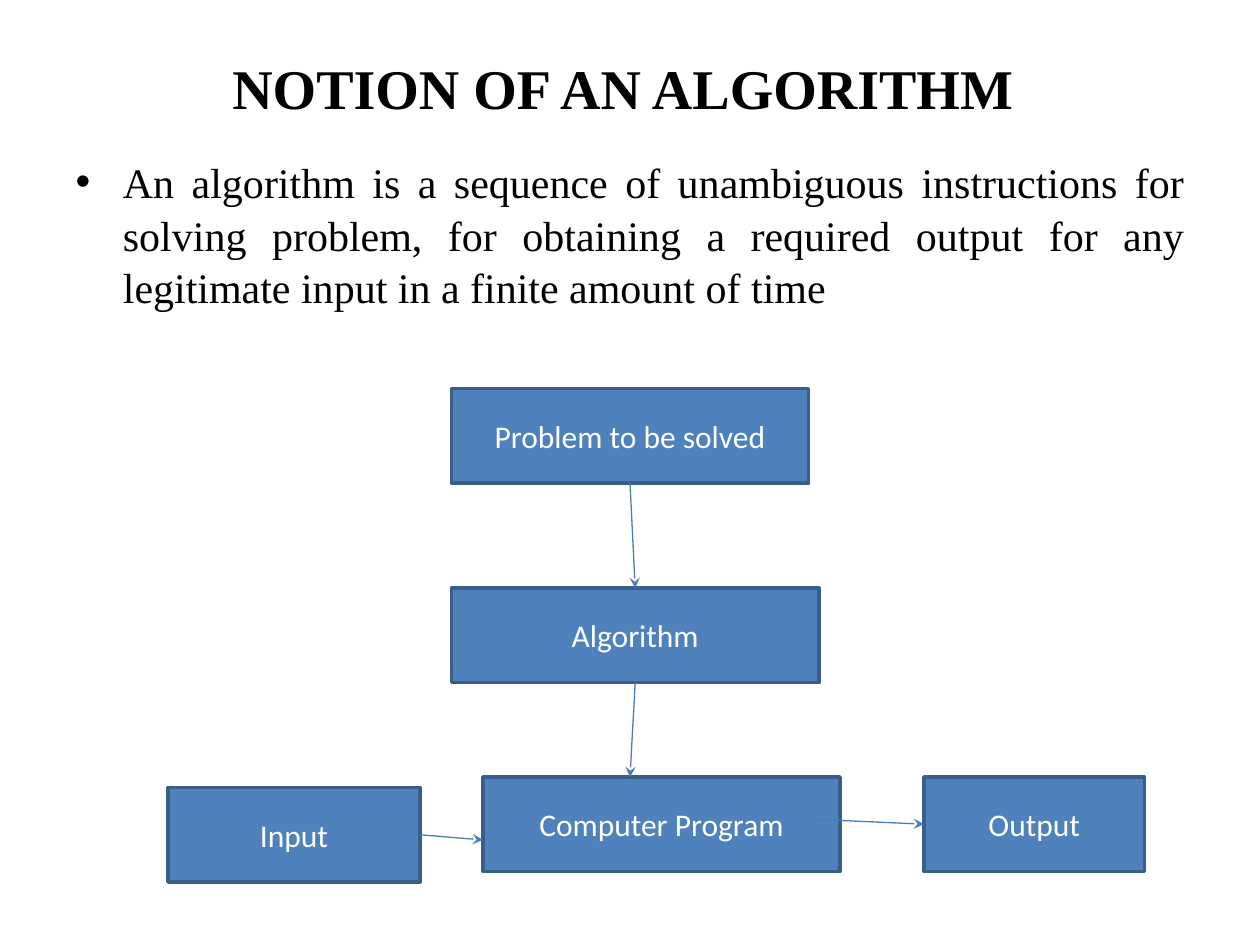
import dataclasses

import lxml.etree
import pptx
import pptx.dml.color
import pptx.enum.shapes
import pptx.enum.text
import pptx.oxml.ns
import pptx.util

ALIGN = pptx.enum.text.PP_ALIGN
TOP, LEFT, BOTTOM, RIGHT = range(4)


@dataclasses.dataclass(frozen=True)
class Theme:
    text: str = "000000"
    box_text: str = "FFFFFF"
    box_fill: str = "4F81BD"
    box_line: str = "395E89"
    arrow: str = "4A7DBA"
    heading_font: str = "Times New Roman"
    box_font: str = "Calibri"
    title_size: int = 32
    body_size: int = 24
    box_size: int = 18


THEME = Theme()
BOX_ROWS = 9

# name: (text, column, row, columns wide)
BOXES = {
    "problem": ("Problem to be solved", 43, 37, 34),
    "program": ("Computer Program", 46, 74, 34),
    "output": ("Output", 88, 74, 21),
    "input": ("Input", 16, 75, 24),
    "algorithm": ("Algorithm", 43, 56, 35),
}

# Each end is a (box, side) joint or a (column, row) point.
ARROWS = [
    (("problem", BOTTOM), ("algorithm", TOP)),
    (("algorithm", BOTTOM), (60, 74)),
    (("input", RIGHT), (46, 80)),
    ((77, 78), ("output", LEFT)),
]


def grid(count):
    """Length of a number of grid cells, twelve to the inch."""
    return pptx.util.Inches(count / 12)


def color(value):
    return pptx.dml.color.RGBColor.from_string(value)


def format_paragraph(paragraph, font, size, text_color, alignment, bold=False):
    paragraph.alignment = alignment
    paragraph.font.name = font
    paragraph.font.size = pptx.util.Pt(size)
    paragraph.font.bold = bold
    paragraph.font.color.rgb = color(text_color)


def fill_placeholder(placeholder, text, top, height, size, alignment, bold=False):
    placeholder.left, placeholder.width = pptx.util.Inches(0.5), pptx.util.Inches(9)
    placeholder.top, placeholder.height = pptx.util.Inches(top), pptx.util.Inches(height)
    frame = placeholder.text_frame
    frame.text = text
    frame.auto_size = pptx.enum.text.MSO_AUTO_SIZE.NONE
    paragraph = frame.paragraphs[0]
    format_paragraph(paragraph, THEME.heading_font, size, THEME.text, alignment, bold)
    return paragraph


def add_box(slide, text, column, row, columns):
    box = slide.shapes.add_shape(
        pptx.enum.shapes.MSO_SHAPE.RECTANGLE,
        grid(column), grid(row), grid(columns), grid(BOX_ROWS))
    box.shadow.inherit = False
    box.fill.solid()
    box.fill.fore_color.rgb = color(THEME.box_fill)
    box.line.color.rgb = color(THEME.box_line)
    box.line.width = pptx.util.Pt(2)
    box.text_frame.text = text
    box.text_frame.word_wrap = True
    box.text_frame.vertical_anchor = pptx.enum.text.MSO_ANCHOR.MIDDLE
    format_paragraph(box.text_frame.paragraphs[0], THEME.box_font,
                     THEME.box_size, THEME.box_text, ALIGN.CENTER)
    return box


def add_arrow(slide, boxes, start, end):
    points = [(0, 0) if point[0] in boxes else (grid(point[0]), grid(point[1]))
              for point in (start, end)]
    arrow = slide.shapes.add_connector(
        pptx.enum.shapes.MSO_CONNECTOR.STRAIGHT, *points[0], *points[1])
    for connect, (name, side) in ((arrow.begin_connect, start), (arrow.end_connect, end)):
        if name in boxes:
            connect(boxes[name], side)
    arrow.line.color.rgb = color(THEME.arrow)
    arrow.line.width = pptx.util.Pt(0.75)
    qualified = pptx.oxml.ns.qn
    line = arrow.line._get_or_add_ln()
    lxml.etree.SubElement(line, qualified("a:tailEnd"), type="stealth")
    lxml.etree.SubElement(line.getparent(), qualified("a:effectLst"))


def main():
    presentation = pptx.Presentation()
    presentation.slide_width, presentation.slide_height = grid(120), grid(90)
    slide = presentation.slides.add_slide(presentation.slide_layouts[1])
    title, body = slide.placeholders
    fill_placeholder(title, "NOTION OF AN ALGORITHM ", 0.3, 0.78,
                     THEME.title_size, ALIGN.CENTER, bold=True)
    definition = fill_placeholder(
        body,
        "An algorithm is a sequence of unambiguous instructions for solving problem, "
        "for obtaining a required output for any legitimate input in a finite amount of time ",
        1.17, 4.95, THEME.body_size, ALIGN.JUSTIFY)
    definition.line_spacing = 1.05
    definition.space_before = pptx.util.Pt(1.5)
    boxes = {name: add_box(slide, *layout) for name, layout in BOXES.items()}
    for start, end in ARROWS:
        add_arrow(slide, boxes, start, end)
    presentation.save("out.pptx")


if __name__ == "__main__":
    main()
